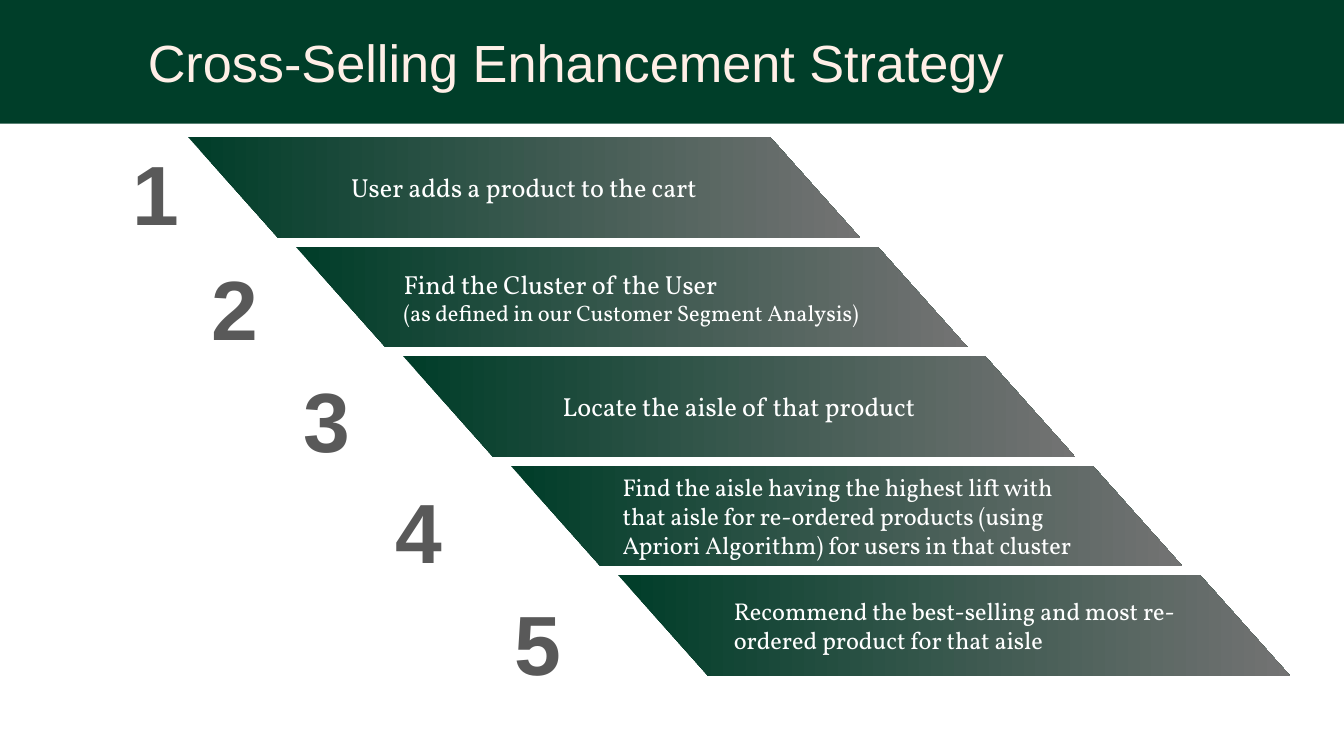
from collections import namedtuple
from dataclasses import dataclass

from pptx import Presentation
from pptx import util as u
from pptx.dml.color import RGBColor
from pptx.enum import shapes, text

Box = namedtuple("Box", "left top width height")
Step = namedtuple("Step", "lines sizes number_at")


@dataclass(frozen=True)
class Theme:
    header: str = "003E29"
    title: str = "FFEFE7"
    band_start: str = "003D29"
    band_end: str = "737373"
    band_text: str = "FFFFFF"
    number: str = "595959"
    sans: str = "Arial"
    serif: str = "Vollkorn"
    title_size: int = 28
    number_size: int = 45


THEME = Theme()
SLIDE = Box(0, 0, 10, 10 * 9 / 16)
HEADER = Box(0, 0, SLIDE.width, 0.92)
STAIRS = Box(1.4, 1.02, 8.2, 4.01)
BAND_WIDTH, BAND_HEIGHT, SLANT = 5, 0.75, 0.67
NUMBER_WIDTH, NUMBER_HEIGHT = 0.5, 0.83

STEPS = [
    Step(["User adds a product to the cart"], [14], (0.91, 1.01)),
    Step(["Find the Cluster of the User",
          "(as defined in our Customer Segment Analysis)"], [14, 12], (1.5, 1.87)),
    Step(["Locate the aisle of that product"], [14], (2.18, 2.7)),
    Step(["Find the aisle having the highest lift with that aisle for re-ordered "
          "products (using Apriori Algorithm) for users in that cluster"],
         [13], (2.87, 3.53)),
    Step(["Recommend the best-selling and most re-ordered product for that aisle"],
         [13], (3.75, 4.36)),
]


def inches(box):
    return [u.Inches(length) for length in box]


def write(shape, lines, sizes, font, color, margins, align=text.PP_ALIGN.LEFT,
          anchor=text.MSO_ANCHOR.MIDDLE, bold=False):
    frame = shape.text_frame
    frame.word_wrap = True
    frame.vertical_anchor = anchor
    (frame.margin_left, frame.margin_top,
     frame.margin_right, frame.margin_bottom) = inches(margins)
    frame.text = "\n".join(lines)
    for para, size in zip(frame.paragraphs, sizes):
        para.alignment = align
        for span in para.runs:
            span.font.name = font
            span.font.size = u.Pt(size)
            span.font.bold = bold
            span.font.color.rgb = RGBColor.from_string(color)
    return frame


def add_header(page, box):
    bar = page.shapes.add_shape(shapes.MSO_SHAPE.RECTANGLE, *inches(box))
    bar.shadow.inherit = False
    bar.fill.solid()
    bar.fill.fore_color.rgb = RGBColor.from_string(THEME.header)
    bar.line.fill.background()
    write(bar, ["Cross-Selling Enhancement Strategy"], [THEME.title_size],
          THEME.sans, THEME.title, (1.1, 0.1, 0.1, 0.1))


def add_band(page, box, step):
    # Parallelogram leaning to the right
    right, bottom = box.left + box.width, box.top + box.height
    outline = page.shapes.build_freeform(
        u.Inches(box.left), u.Inches(box.top), scale=1.0)
    corners = [(right - SLANT, box.top), (right, bottom), (box.left + SLANT, bottom)]
    outline.add_line_segments([inches(corner) for corner in corners], close=True)
    band = outline.convert_to_shape()
    band.shadow.inherit = False
    band.line.fill.background()
    band.fill.gradient()
    band.fill.gradient_angle = 0
    for stop, color in zip(band.fill.gradient_stops,
                           (THEME.band_start, THEME.band_end)):
        stop.color.rgb = RGBColor.from_string(color)
    # Left-aligned lines, centred in the band as one block
    frame = write(band, step.lines, step.sizes, THEME.serif, THEME.band_text,
                  (0.75, 0.07, 0.75, 0.07))
    frame._txBody.bodyPr.set("anchorCtr", "1")


def add_number(page, box, number):
    label = page.shapes.add_textbox(*inches(box))
    write(label, [str(number)], [THEME.number_size], THEME.sans, THEME.number,
          (0.07, 0.04, 0.07, 0.04), text.PP_ALIGN.CENTER,
          text.MSO_ANCHOR.TOP, bold=True)


def add_stairs(page, box, steps):
    # Equal shifts take the bands from the top left to the bottom right
    shift_x = (box.width - BAND_WIDTH) / (len(steps) - 1)
    shift_y = (box.height - BAND_HEIGHT) / (len(steps) - 1)
    for index, step in enumerate(steps):
        add_band(page, Box(box.left + index * shift_x, box.top + index * shift_y,
                           BAND_WIDTH, BAND_HEIGHT), step)
        add_number(page, Box(*step.number_at, NUMBER_WIDTH, NUMBER_HEIGHT), index + 1)


def main():
    deck = Presentation()
    deck.slide_width, deck.slide_height = inches((SLIDE.width, SLIDE.height))
    page = deck.slides.add_slide(deck.slide_layouts[6])
    add_header(page, HEADER)
    add_stairs(page, STAIRS, STEPS)
    deck.save("out.pptx")


if __name__ == "__main__":
    main()
